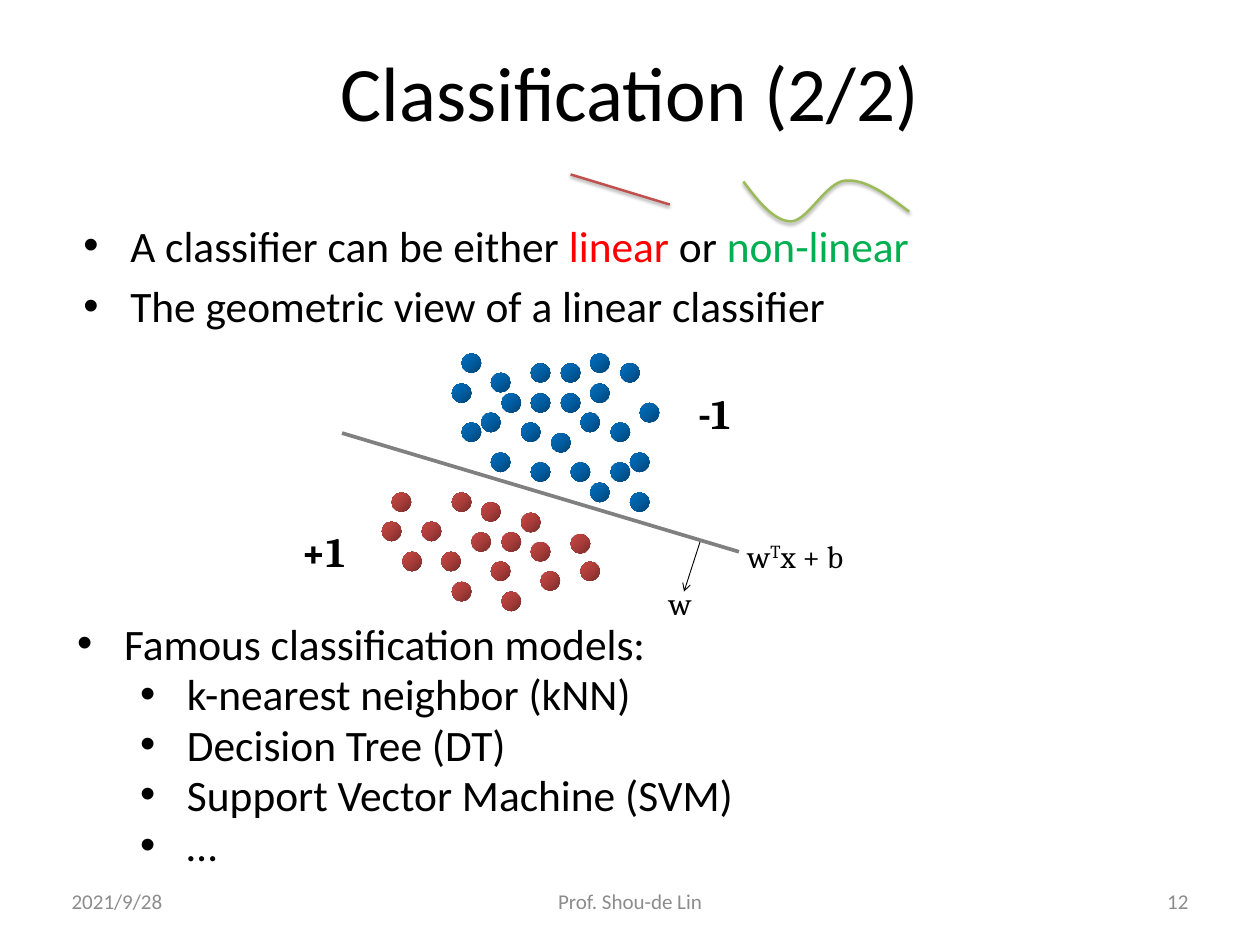
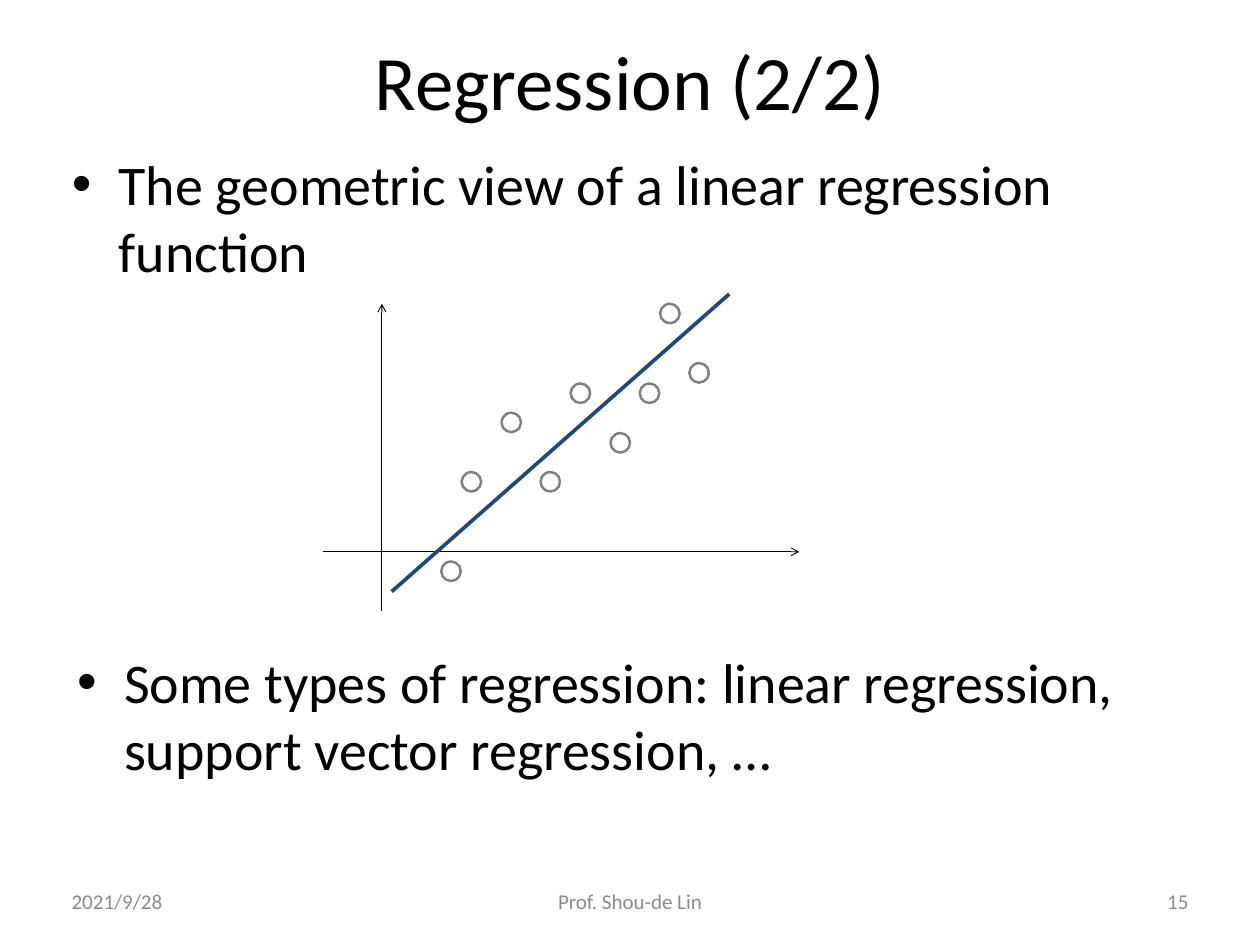
import copy
from dataclasses import dataclass
from typing import NamedTuple, Optional

import lxml.etree
import pptx
import pptx.dml.color
import pptx.enum.shapes
import pptx.enum.text
import pptx.oxml.ns
import pptx.util

EMU_PER_PX = 9144
qn = pptx.oxml.ns.qn
Align = pptx.enum.text.PP_ALIGN
Anchor = pptx.enum.text.MSO_ANCHOR


@dataclass(frozen=True)
class Theme:
    body_font: str = "Calibri"
    math_font: str = "Cambria"
    black: str = "000000"
    footer_gray: str = "8C8C8C"
    line_gray: str = "808080"
    linear_red: str = "FF0000"
    nonlinear_green: str = "00B050"
    sample_red: str = "C0504D"
    sample_green: str = "9BBB59"
    fit_blue: str = "1F497D"
    positive: tuple[str, ...] = ("772B29", "A93D3A", "C94844")
    negative: tuple[str, ...] = ("004272", "005EA2", "0070C0")
    title_size: float = 62.6
    large_size: float = 45.5
    list_size: float = 35.3
    class_size: float = 34.1
    label_size: float = 25.6
    footer_size: float = 17.1


THEME = Theme()


class Point(NamedTuple):
    x: int
    y: int


class Box(NamedTuple):
    left: int
    top: int
    width: int
    height: int


@dataclass(frozen=True)
class Span:
    text: str
    color: str = THEME.black
    superscript: bool = False


@dataclass(frozen=True)
class Item:
    spans: tuple[Span, ...]
    level: int = 0


@dataclass(frozen=True)
class BulletList:
    box: Box
    items: tuple[Item, ...]
    size: float
    line_spacing: Optional[float] = None
    inset: Point = Point(10, 5)


@dataclass(frozen=True)
class Label:
    box: Box
    spans: tuple[Span, ...]
    size: float
    font: str = THEME.math_font
    bold: bool = False
    align: Align = Align.LEFT
    anchor: Anchor = Anchor.TOP


@dataclass(frozen=True)
class Line:
    start: Point
    end: Point
    color: str
    weight: float
    arrow: bool = False
    shadow: bool = False


SLIDE_SIZE = Point(1422, 1067)
DOT_SIZE = 22
BULLET_HANG = 53
LEVEL_INDENTS = (53, 124)

NEGATIVE_DOTS = (
    (521, 399), (554, 421), (510, 433), (599, 410), (633, 410), (666, 399),
    (700, 410), (666, 433), (566, 444), (599, 444), (633, 444), (722, 455),
    (543, 466), (655, 466), (521, 477), (588, 477), (689, 477), (622, 489),
    (554, 511), (711, 511), (599, 522), (644, 522), (689, 522), (666, 545),
    (711, 556),
)
POSITIVE_DOTS = (
    (442, 556), (510, 556), (543, 567), (588, 579), (431, 589), (476, 589),
    (532, 601), (566, 601), (599, 612), (644, 603), (454, 623), (498, 623),
    (554, 634), (655, 634), (610, 645), (510, 657), (566, 668),
)
OBSERVATIONS = (
    (498, 634), (521, 533), (566, 466), (610, 533), (644, 433),
    (722, 433), (745, 343), (778, 410), (689, 489),
)
CURVE = (
    ((839, 205), (856, 228), (874, 250), (893, 250)),
    ((893, 250), (912, 249), (932, 206), (954, 204)),
    ((954, 204), (977, 202), (1001, 220), (1026, 239)),
)


def px(length: float) -> pptx.util.Emu:
    return pptx.util.Emu(round(length * EMU_PER_PX))


def rgb(color: str) -> pptx.dml.color.RGBColor:
    return pptx.dml.color.RGBColor.from_string(color)


def place(shape, box: Box) -> None:
    shape.left, shape.top, shape.width, shape.height = map(px, box)


def write_spans(paragraph, spans: tuple[Span, ...], size: float, font: str,
                bold: bool = False) -> None:
    for span in spans:
        run = paragraph.add_run()
        run.text = span.text
        run.font.name = font
        run.font.size = pptx.util.Pt(size)
        run.font.bold = bold
        run.font.color.rgb = rgb(span.color)
        if span.superscript:
            run._r.get_or_add_rPr().set("baseline", "30000")


def set_title(slide, text: str, box: Box) -> None:
    title = slide.shapes.title
    place(title, box)
    frame = title.text_frame
    frame.auto_size = pptx.enum.text.MSO_AUTO_SIZE.NONE
    frame.vertical_anchor = Anchor.MIDDLE
    paragraph = frame.paragraphs[0]
    paragraph.alignment = Align.CENTER
    write_spans(paragraph, (Span(text),), THEME.title_size, THEME.body_font)


def fill_list(placeholder, bullets: BulletList) -> None:
    place(placeholder, bullets.box)
    frame = placeholder.text_frame
    frame.auto_size = pptx.enum.text.MSO_AUTO_SIZE.NONE
    frame.margin_left = frame.margin_right = px(bullets.inset.x)
    frame.margin_top = frame.margin_bottom = px(bullets.inset.y)
    for index, item in enumerate(bullets.items):
        paragraph = frame.add_paragraph() if index else frame.paragraphs[0]
        paragraph.level = item.level
        if bullets.line_spacing:
            paragraph.line_spacing = bullets.line_spacing
        properties = paragraph._p.get_or_add_pPr()
        properties.set("marL", str(px(LEVEL_INDENTS[item.level])))
        properties.set("indent", str(-px(BULLET_HANG)))
        lxml.etree.SubElement(properties, qn("a:buFont")).set("typeface", "Arial")
        lxml.etree.SubElement(properties, qn("a:buChar")).set("char", "•")
        write_spans(paragraph, item.spans, bullets.size, THEME.body_font)


def add_label(slide, label: Label) -> None:
    frame = slide.shapes.add_textbox(*map(px, label.box)).text_frame
    frame.word_wrap = True
    frame.vertical_anchor = label.anchor
    paragraph = frame.paragraphs[0]
    paragraph.alignment = label.align
    write_spans(paragraph, label.spans, label.size, label.font, label.bold)


def add_footer(slide, number: int) -> None:
    for text, left, width, align in (
        ("2021/9/28", 71, 332, Align.LEFT),
        (str(number), 1019, 332, Align.RIGHT),
        ("Prof. Shou-de Lin", 486, 450, Align.CENTER),
    ):
        add_label(slide, Label(Box(left, 989, width, 57), (Span(text, THEME.footer_gray),),
                               THEME.footer_size, THEME.body_font,
                               align=align, anchor=Anchor.MIDDLE))


def set_effects(shape, shadow: bool) -> None:
    effects = lxml.etree.SubElement(shape._element.spPr, qn("a:effectLst"))
    if shadow:
        outer = lxml.etree.SubElement(
            effects, qn("a:outerShdw"), blurRad=str(pptx.util.Pt(3.1)),
            dist=str(pptx.util.Pt(1.6)), dir="5400000", rotWithShape="0")
        color = lxml.etree.SubElement(outer, qn("a:srgbClr"), val=THEME.black)
        lxml.etree.SubElement(color, qn("a:alpha"), val="38000")


def set_line(shape, color: str, weight: float) -> None:
    shape.line.color.rgb = rgb(color)
    shape.line.width = pptx.util.Pt(weight)


def add_line(slide, line: Line) -> None:
    connector = slide.shapes.add_connector(
        pptx.enum.shapes.MSO_CONNECTOR.STRAIGHT, *map(px, line.start + line.end))
    set_line(connector, line.color, line.weight)
    if line.arrow:
        outline = connector._element.spPr.find(qn("a:ln"))
        lxml.etree.SubElement(outline, qn("a:tailEnd"), type="arrow")
    set_effects(connector, line.shadow)


def add_dot(slide, position: tuple[int, int]):
    dot = slide.shapes.add_shape(pptx.enum.shapes.MSO_SHAPE.OVAL,
                                 *map(px, (*position, DOT_SIZE, DOT_SIZE)))
    dot.shadow.inherit = False
    return dot


def add_class_dots(slide, positions: tuple, colors: tuple[str, ...]) -> None:
    for position in positions:
        dot = add_dot(slide, position)
        dot.line.fill.background()
        dot.fill.gradient()
        dot.fill.gradient_angle = 135
        stop_list = dot._element.spPr.find(".//" + qn("a:gsLst"))
        stop_list.insert(1, copy.deepcopy(stop_list[0]))
        for index, (stop, color) in enumerate(zip(dot.fill.gradient_stops, colors)):
            stop.position = index / 2
            stop.color.rgb = rgb(color)


def add_curve(slide, segments: tuple, color: str, weight: float, steps: int = 16) -> None:
    points = []
    for start, first, second, end in segments:
        for step in range(1, steps + 1):
            t = step / steps
            weights = ((1 - t) ** 3, 3 * t * (1 - t) ** 2, 3 * t * t * (1 - t), t ** 3)
            points.append(tuple(
                px(sum(w * value for w, value in zip(weights, values)))
                for values in zip(start, first, second, end)))
    builder = slide.shapes.build_freeform(*map(px, segments[0][0]))
    builder.add_line_segments(points, close=False)
    curve = builder.convert_to_shape()
    curve.fill.background()
    set_line(curve, color, weight)
    set_effects(curve, True)


def start_slide(presentation, title: str, title_height: int, lists: tuple[BulletList, ...]):
    slide = presentation.slides.add_slide(presentation.slide_layouts.get_by_name("Two Content"))
    set_title(slide, title, Box(71, 29, 1280, title_height))
    for index, bullets in enumerate(lists, start=1):
        fill_list(slide.placeholders[index], bullets)
    return slide


def build_classification(presentation) -> None:
    models = ("k-nearest neighbor (kNN)", "Decision Tree (DT)",
              "Support Vector Machine (SVM)", "…")
    slide = start_slide(presentation, "Classification (2/2)", 146, (
        BulletList(Box(84, 242, 1312, 128), (
            Item((Span("A classifier can be either "), Span("linear", THEME.linear_red),
                  Span(" or "), Span("non-linear", THEME.nonlinear_green))),
            Item((Span("The geometric view of a linear classifier"),)),
        ), THEME.list_size),
        BulletList(Box(73, 701, 1280, 307), (
            Item((Span("Famous classification models:"),)),
            *(Item((Span(model),), 1) for model in models),
        ), THEME.list_size, 0.8, Point(14, 7)),
    ))
    add_class_dots(slide, POSITIVE_DOTS, THEME.positive)
    add_class_dots(slide, NEGATIVE_DOTS, THEME.negative)
    add_line(slide, Line(Point(386, 489), Point(834, 623), THEME.line_gray, 3))
    add_line(slide, Line(Point(790, 612), Point(772, 668), THEME.black, 0.75, arrow=True))
    for label in (
        Label(Box(330, 589, 112, 68), (Span("+1"),), THEME.class_size, bold=True),
        Label(Box(778, 433, 112, 68), (Span("-1"),), THEME.class_size, bold=True),
        Label(Box(745, 655, 67, 53), (Span("w"),), THEME.label_size),
        Label(Box(834, 601, 291, 53),
              (Span("w"), Span("T", superscript=True), Span("x + b")), THEME.label_size),
    ):
        add_label(slide, label)
    add_footer(slide, 12)
    add_line(slide, Line(Point(644, 197), Point(756, 231), THEME.sample_red, 2, shadow=True))
    add_curve(slide, CURVE, THEME.sample_green, 2)


def build_regression(presentation) -> None:
    slide = start_slide(presentation, "Regression (2/2)", 121, (
        BulletList(Box(71, 164, 1280, 213), (
            Item((Span("The geometric view of a linear regression function"),)),
        ), THEME.large_size),
        BulletList(Box(73, 724, 1280, 213), (
            Item((Span("Some types of regression: linear regression, "
                       "support vector regression, …"),)),
        ), THEME.large_size, inset=Point(14, 7)),
    ))
    for line in (
        Line(Point(364, 623), Point(902, 623), THEME.black, 0.75, arrow=True),
        Line(Point(431, 690), Point(431, 343), THEME.black, 0.75, arrow=True),
        Line(Point(442, 668), Point(823, 332), THEME.fit_blue, 3),
    ):
        add_line(slide, line)
    for position in OBSERVATIONS:
        dot = add_dot(slide, position)
        dot.fill.background()
        set_line(dot, THEME.line_gray, 2)
    add_footer(slide, 15)


def main() -> None:
    presentation = pptx.Presentation()
    presentation.slide_width, presentation.slide_height = map(px, SLIDE_SIZE)
    build_classification(presentation)
    build_regression(presentation)
    presentation.save("out.pptx")


if __name__ == "__main__":
    main()
